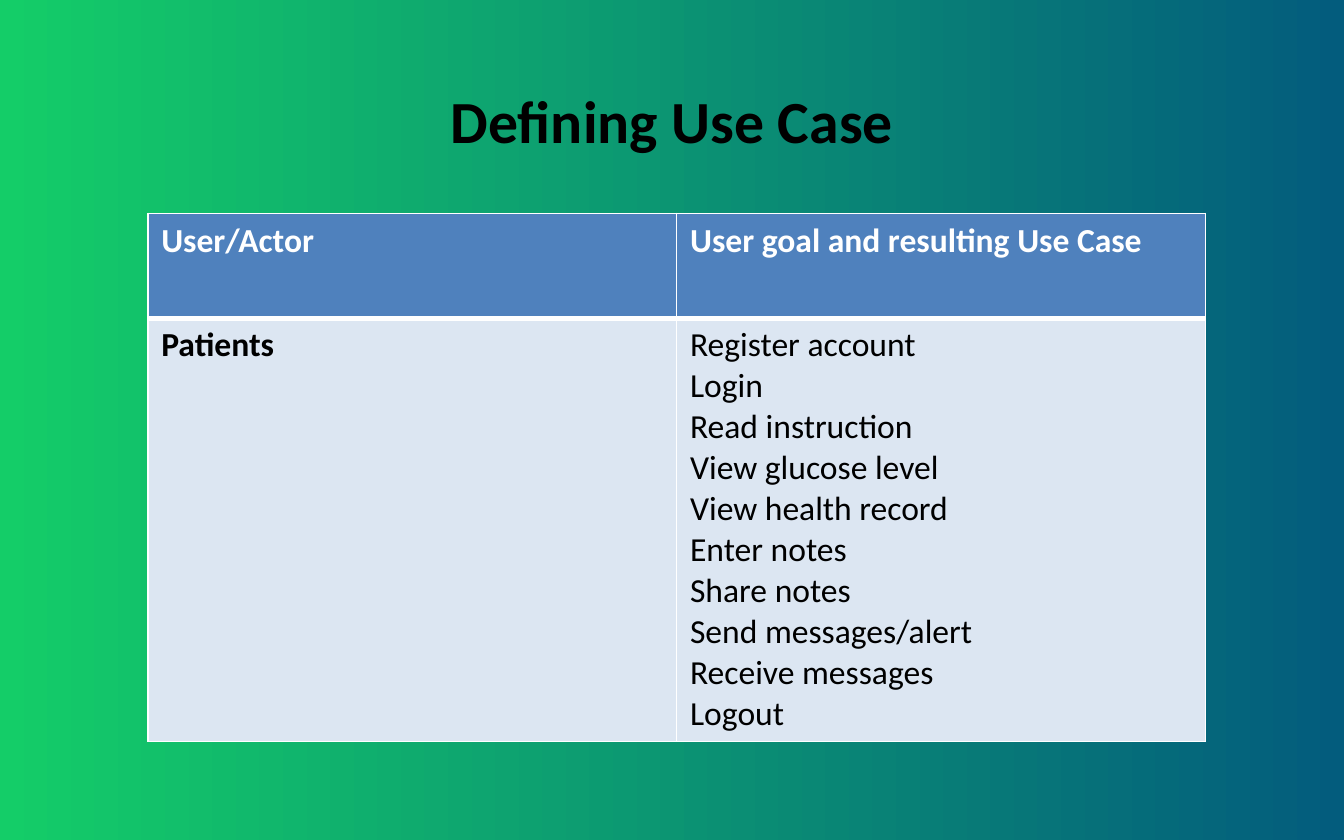
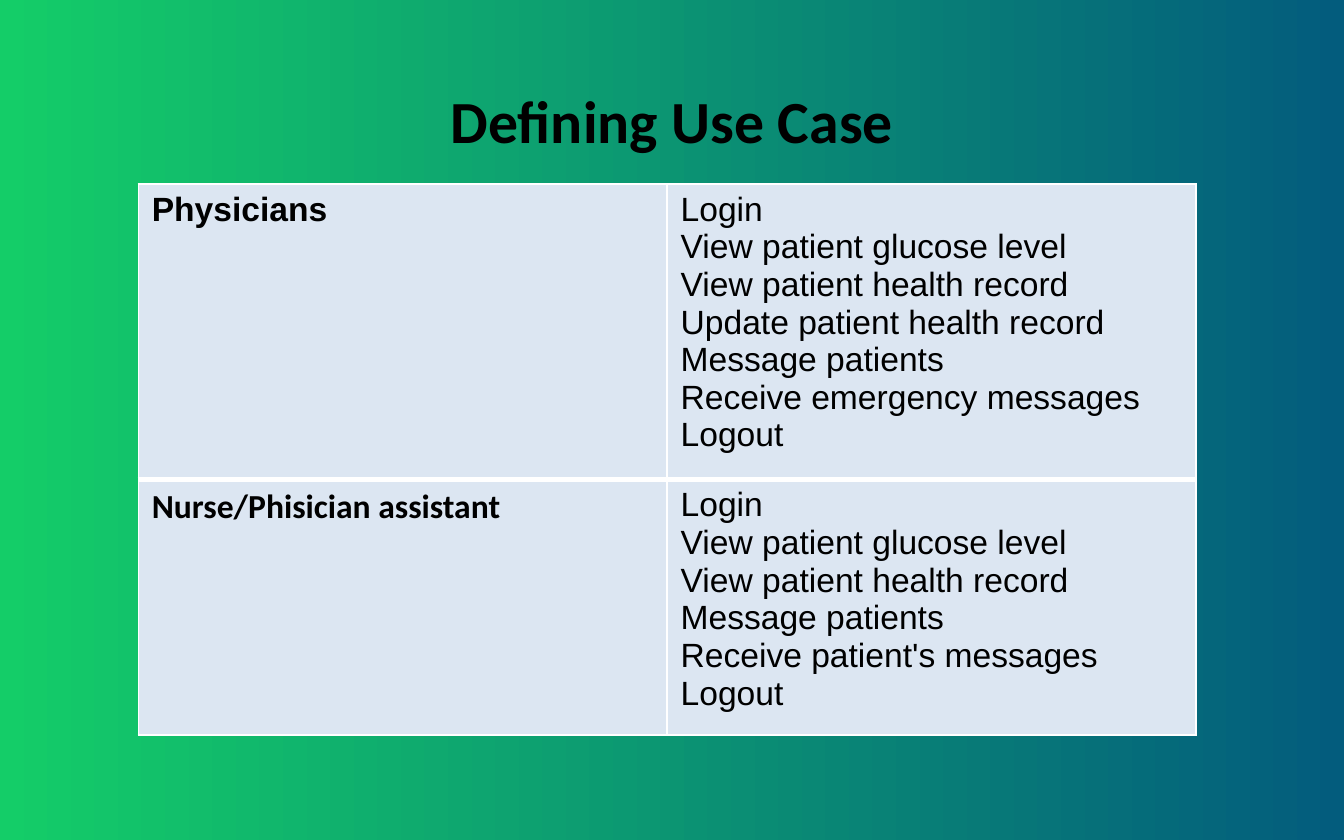
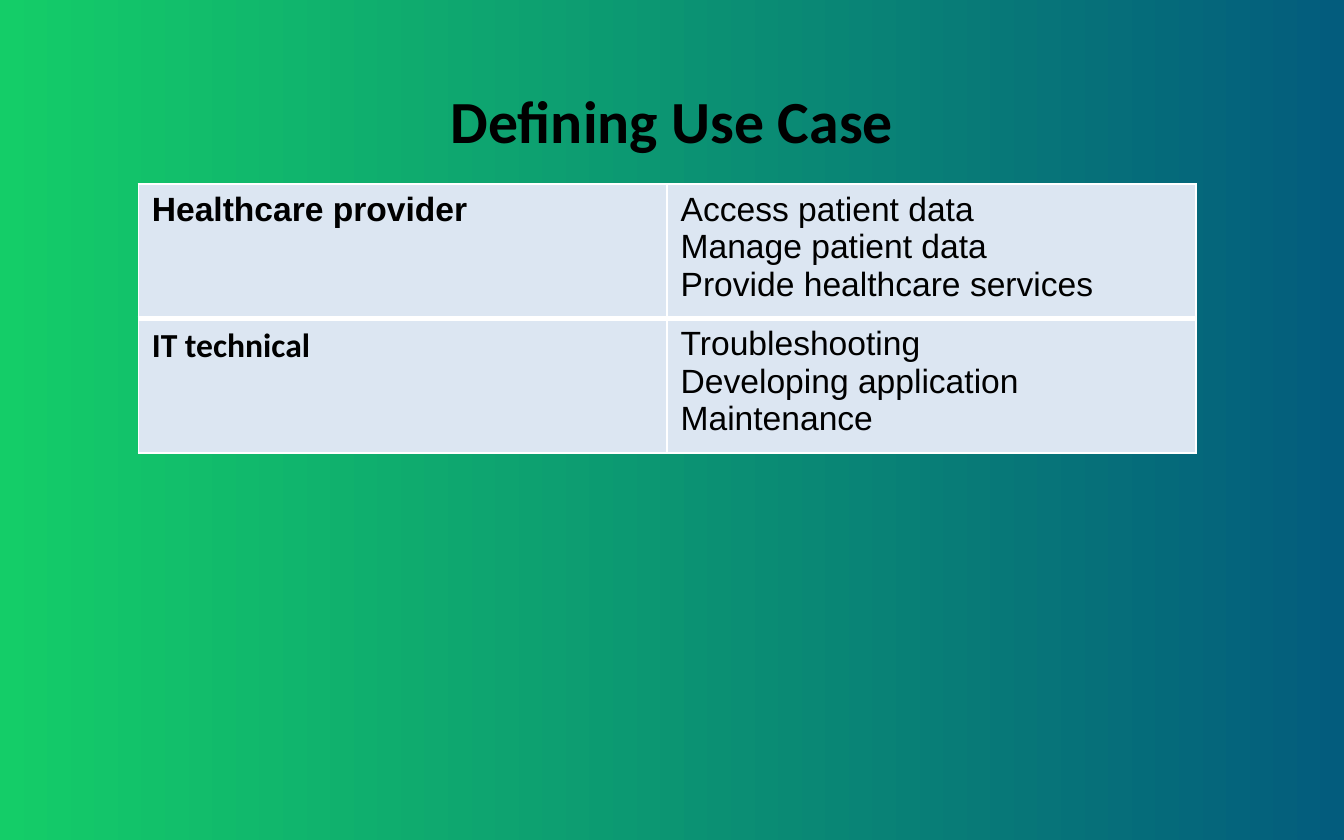
from dataclasses import dataclass

from lxml.etree import SubElement
from pptx import Presentation
from pptx.dml.color import RGBColor as Rgb
from pptx.enum.text import MSO_ANCHOR as Anchor, PP_ALIGN as Align
from pptx.oxml.ns import qn
from pptx.util import Inches, Pt

WIDTH, HEIGHT = Inches(10), Inches(6.25)
BLANK_LAYOUT = 6


@dataclass(frozen=True)
class Theme:
    """Colours, fonts and type sizes shared by the slides."""

    gradient: tuple = ("14CD68", "035C7D")
    ink: str = "000000"
    white: str = "FFFFFF"
    header: str = "4F81BD"
    body: str = "DCE6F2"
    heading_font: str = "Calibri"
    list_font: str = "Arial"
    title_size: int = 32
    cell_size: int = 18
    thin_border: int = 1
    thick_border: int = 3


THEME = Theme()
LINE_HEIGHT = {THEME.heading_font: 0.305, THEME.list_font: 0.28}


@dataclass(frozen=True)
class CellText:
    """Lines of one table cell with their look."""

    lines: tuple
    font: str = THEME.heading_font
    bold: bool = False
    colour: str = THEME.ink
    fill: str = THEME.body


def header(text):
    """Return the text of a column heading."""
    return CellText((text,), bold=True, colour=THEME.white, fill=THEME.header)


def actor(name, font=THEME.heading_font):
    """Return the bold name of an actor."""
    return CellText((name,), font, bold=True)


def goals(*lines, font=THEME.list_font):
    """Return the goals of an actor, one a line."""
    return CellText(lines, font)


def row_height(cells):
    """Return the height that the longest cell of a row needs."""
    return Inches(max(len(cell.lines) * LINE_HEIGHT[cell.font] for cell in cells) + 0.1)


def style(paragraph, font, size, colour, bold):
    """Set the font of a whole paragraph."""
    paragraph.font.name = font
    paragraph.font.size = Pt(size)
    paragraph.font.bold = bold
    paragraph.font.color.rgb = Rgb.from_string(colour)


def paint_background(master):
    """Give all slides the left-to-right gradient."""
    fill = master.background.fill
    fill.gradient()
    fill.gradient_angle = 0
    for stop, colour in zip(fill.gradient_stops, THEME.gradient):
        stop.color.rgb = Rgb.from_string(colour)


def add_title(slide, text):
    """Add the centred slide title."""
    box = slide.shapes.add_textbox(
        round(WIDTH / 7), round(HEIGHT * 0.05), round(WIDTH * 5 / 7), Inches(1.16))
    frame = box.text_frame
    frame.word_wrap = True
    frame.vertical_anchor = Anchor.MIDDLE
    paragraph = frame.paragraphs[0]
    paragraph.text = text
    paragraph.alignment = Align.CENTER
    style(paragraph, THEME.heading_font, THEME.title_size, THEME.ink, True)


def add_borders(cell, top, bottom):
    """Draw the four white borders of a cell."""
    properties = cell._tc.get_or_add_tcPr()
    widths = {"L": THEME.thin_border, "R": THEME.thin_border, "T": top, "B": bottom}
    for side, width in widths.items():
        line = SubElement(properties, qn(f"a:ln{side}"), w=str(Pt(width)))
        solid = SubElement(line, qn("a:solidFill"))
        SubElement(solid, qn("a:srgbClr"), val=THEME.white)


def fill_cell(cell, content):
    """Write the lines of a cell and colour it."""
    cell.fill.solid()
    cell.fill.fore_color.rgb = Rgb.from_string(content.fill)
    cell.text = "\n".join(content.lines)
    for paragraph in cell.text_frame.paragraphs:
        style(paragraph, content.font, THEME.cell_size, content.colour, content.bold)


def add_use_cases(slide, rows, left, top, first_height=None):
    """Add the two-column table of actors and goals, placed by slide shares."""
    heights = [row_height(cells) for cells in rows]
    heights[0] = first_height or heights[0]
    table = slide.shapes.add_table(
        len(rows), 2, round(WIDTH * left), round(HEIGHT * top),
        Inches(7.87), sum(heights)).table
    table.first_row = table.horz_banding = False
    for index, (cells, height) in enumerate(zip(rows, heights)):
        table.rows[index].height = height
        above = THEME.thick_border if index == 1 else THEME.thin_border
        below = THEME.thick_border if index == 0 else THEME.thin_border
        for column, content in enumerate(cells):
            cell = table.cell(index, column)
            add_borders(cell, above, below)
            fill_cell(cell, content)


def add_use_case_slide(presentation, rows, left=0.103, top=0.219, first_height=None):
    """Add one slide with its title and table."""
    slide = presentation.slides.add_slide(presentation.slide_layouts[BLANK_LAYOUT])
    add_title(slide, "Defining Use Case")
    add_use_cases(slide, rows, left, top, first_height)


def main():
    """Build and save the presentation."""
    presentation = Presentation()
    presentation.slide_width, presentation.slide_height = WIDTH, HEIGHT
    paint_background(presentation.slide_master)

    add_use_case_slide(presentation, [
        (header("User/Actor"), header("User goal and resulting Use Case")),
        (actor("Patients"),
         goals("Register account", "Login", "Read instruction", "View glucose level",
               "View health record", "Enter notes", "Share notes",
               "Send messages/alert", "Receive messages", "Logout",
               font=THEME.heading_font)),
    ], left=0.11, top=0.254, first_height=Inches(0.78))

    add_use_case_slide(presentation, [
        (actor("Physicians", THEME.list_font),
         goals("Login", "View patient glucose level", "View patient health record",
               "Update patient health record", "Message patients",
               "Receive emergency messages", "Logout")),
        (actor("Nurse/Phisician assistant"),
         goals("Login", "View patient glucose level", "View patient health record",
               "Message patients", "Receive patient's messages", "Logout")),
    ])

    add_use_case_slide(presentation, [
        (actor("Healthcare provider", THEME.list_font),
         goals("Access patient data", "Manage patient data",
               "Provide healthcare services")),
        (actor("IT technical"),
         goals("Troubleshooting", "Developing application", "Maintenance")),
    ])

    presentation.save("out.pptx")


if __name__ == "__main__":
    main()
